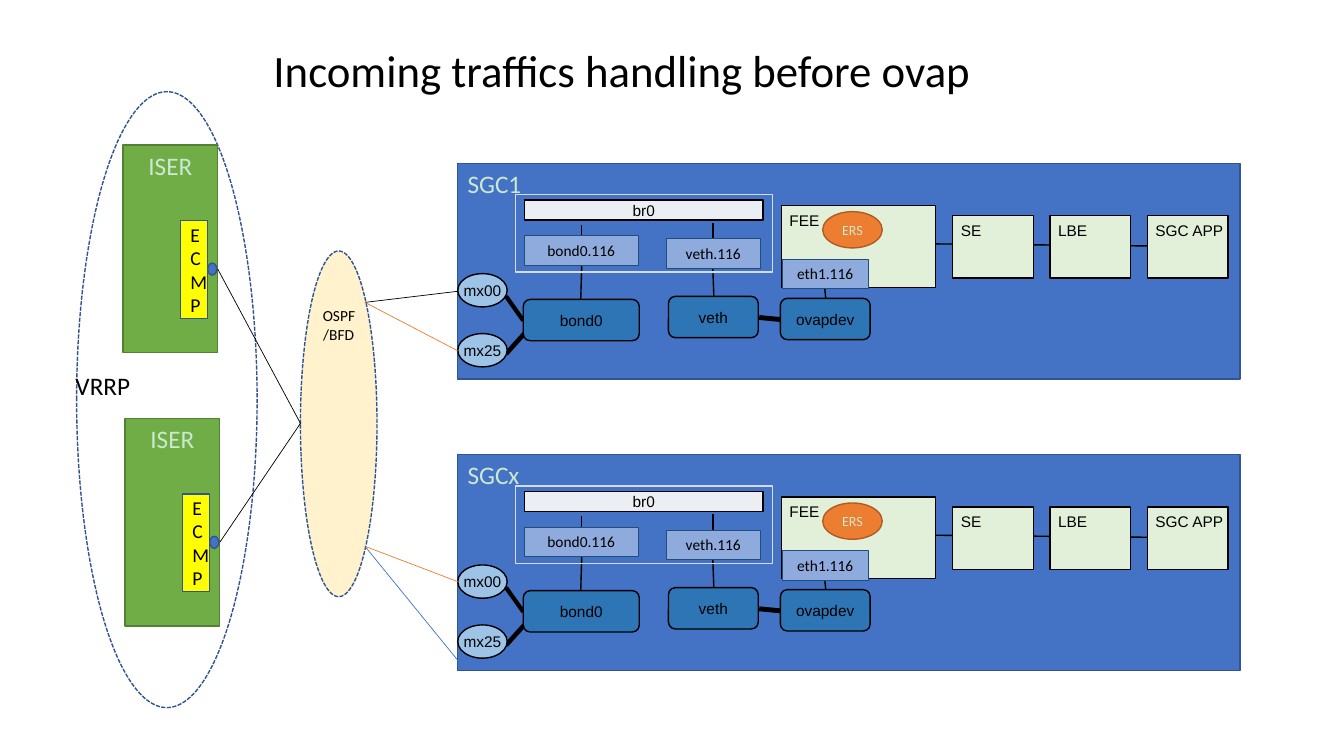
from lxml.etree import SubElement
from pptx import Presentation
from pptx.dml.color import RGBColor as RGB
from pptx.enum.dml import MSO_LINE as DASH
from pptx.enum.shapes import MSO_CONNECTOR as CONN, MSO_SHAPE as SHAPE
from pptx.enum.text import MSO_ANCHOR as ANCHOR, MSO_AUTO_SIZE as FIT, PP_ALIGN as ALIGN
from pptx.oxml.ns import qn
from pptx.util import Inches, Pt

# Theme: colours, type and shape styles
THEME = dict(
    black="000000", white="FFFFFF", pale="CCE8CF", blue="4472C4", navy="325491", orange="ED7D31",
    sans="Calibri", label="Arial", title=32, head=18, ecmp=14, body=11, small=10)
T = THEME
RECT, OVAL, ROUND = SHAPE.RECTANGLE, SHAPE.OVAL, SHAPE.ROUNDED_RECTANGLE
BASE = dict(fill=None, line=T["black"], width=1, dash=None, size=T["body"], font=T["label"],
            color=T["black"], align=ALIGN.CENTER, anchor=ANCHOR.MIDDLE, inset=0.08, wrap=False)
TOP = dict(anchor=ANCHOR.TOP, inset=0.1, font=T["sans"])
HEAD = dict(TOP, size=T["head"], color=T["pale"])
STYLES = dict(
    ring=dict(line=T["navy"], dash=DASH.SQUARE_DOT),
    ospf=dict(TOP, fill="FFF2CC", line=T["navy"], dash=DASH.SQUARE_DOT, wrap=True),
    panel=dict(HEAD, fill=T["blue"], line=T["navy"], align=ALIGN.LEFT),
    iser=dict(HEAD, fill="70AD47", line="538035"),
    ecmp=dict(fill="FFFF00", line=T["navy"], size=T["ecmp"], font=T["sans"], inset=0.1, wrap=True),
    dot=dict(fill=T["blue"], line=T["navy"]),
    app=dict(fill="E2F0D9", align=ALIGN.LEFT, anchor=ANCHOR.TOP),
    bridge=dict(fill="EBEEF2"),
    port=dict(fill="9DC3E6"),
    device=dict(fill="2E75B6"),
    vlan=dict(TOP, fill="8FAADC", line="1F4E79", width=0.75),
    ers=dict(fill=T["orange"], line="AF5C24", size=T["small"], font=T["sans"], color=T["pale"]),
    frame=dict(line="D6DCE5"),
    note=dict(HEAD, line=None, color=T["black"], align=ALIGN.LEFT))

# Grid: 75 rows, with columns as wide as the rows are high
prs = Presentation()
prs.slide_width, prs.slide_height = Inches(13.33), Inches(7.5)
CELL = prs.slide_height / 75
s = prs.slides.add_slide(prs.slide_layouts[5])
s.background.fill.solid()
s.background.fill.fore_color.rgb = RGB.from_string(T["white"])


def box(kind, style, x, y, w, h, text=""):
    f = {**BASE, **STYLES[style]}
    sp = s.shapes.add_shape(kind, *(round(v * CELL) for v in (x, y, w, h)))
    sp.shadow.inherit = False
    for part, color in ((sp.fill, f["fill"]), (sp.line.fill, f["line"])):
        if color:
            part.solid()
            part.fore_color.rgb = RGB.from_string(color)
        else:
            part.background()
    if f["line"]:
        sp.line.width, sp.line.dash_style = Pt(f["width"]), f["dash"]
    if text:
        tf = sp.text_frame
        layout = dict(word_wrap=f["wrap"], vertical_anchor=f["anchor"],
                      margin_left=Inches(f["inset"]), margin_right=Inches(f["inset"]),
                      margin_top=Inches(0.05), margin_bottom=Inches(0.05))
        for name, value in layout.items():
            setattr(tf, name, value)
        p = tf.paragraphs[0]
        p.alignment = f["align"]
        r = p.add_run()
        r.text = text
        r.font.name, r.font.size = f["font"], Pt(f["size"])
        r.font.color.rgb = RGB.from_string(f["color"])


def wire(x1, y1, x2, y2, width=1, color="black"):
    c = s.shapes.add_connector(CONN.STRAIGHT, *(round(v * CELL) for v in (x1, y1, x2, y2)))
    c.line.width, c.line.color.rgb = Pt(width), RGB.from_string(T[color])
    SubElement(c._element.spPr, qn("a:effectLst"))


# Title
title = s.shapes.title
for name, value in dict(left=4.2, top=0, width=115, height=14.5).items():
    setattr(title, name, round(value * CELL))
tf = title.text_frame
tf.auto_size, tf.vertical_anchor = FIT.NONE, ANCHOR.MIDDLE
p = tf.paragraphs[0]
p.alignment, p.line_spacing = ALIGN.CENTER, 0.9
r = p.add_run()
r.text = "Incoming traffics handling before ovap"
r.font.name, r.font.size = T["sans"], Pt(T["title"])
r.font.color.rgb = RGB.from_string(T["black"])

# Router redundancy ring
box(OVAL, "ring", 7.6, 9.1, 17.9, 61.1)

# SGC panels: each part is placed from the panel's top left corner
PANEL_X, PANEL_TOP, PANEL_STEP = 45.4, 16.2, 28.9
NODES = [
    (RECT, "app", 32.1, 4.2, 15.3, 8.1, "FEE"),
    (RECT, "bridge", 6.6, 3.65, 23.7, 2, "br0"),
    (OVAL, "port", 0, 10.95, 4.9, 3.3, "mx00"),
    (OVAL, "port", 0, 16.9, 4.9, 3.3, "mx25"),
    (ROUND, "device", 6.5, 13.5, 11.5, 4.1, "bond0"),
    (RECT, "vlan", 6.6, 7.2, 11.3, 2.9, "bond0.116"),
    (ROUND, "device", 20.9, 13.2, 8.9, 4.1, "veth"),
    (RECT, "vlan", 20.7, 7.5, 9.3, 2.9, "veth.116"),
    (ROUND, "device", 32, 13.4, 8.9, 4.1, "ovapdev"),
    (RECT, "vlan", 32.2, 9.55, 8.5, 2.9, "eth1.116"),
    (OVAL, "ers", 36.2, 4.8, 5.9, 3.6, "ERS"),
    (RECT, "frame", 5.7, 3.1, 25.5, 7.7)]
WIRES = [
    (6.5, 15.6, 4.8, 13.2, 3), (4.8, 18.9, 6.6, 16.9, 3.25), (29.9, 15.3, 32, 15.5, 3.5),
    (12.3, 10.1, 12.2, 13.5), (25.3, 10.4, 25.4, 13.2), (36.4, 12.4, 36.5, 13.4),
    (12.3, 7.2, 12.3, 6.1), (25.3, 7.5, 25.3, 5.9)]
for i, name in enumerate(("SGC1", "SGCx")):
    top = PANEL_TOP + i * PANEL_STEP
    box(RECT, "panel", PANEL_X, top, 77.6, 21.4, name)
    wire(92.8, top + 8, 113.8, top + 8.2)
    for j, app in enumerate(("SE", "LBE", "SGC APP")):
        box(RECT, "app", 94.5 + j * 9.65, top + 5.2, 8, 6.2, app)
    for x1, y1, x2, y2, *width in WIRES:
        wire(PANEL_X + x1, top + y1, PANEL_X + x2, top + y2, *width)
    for kind, style, x, y, *rest in NODES:
        box(kind, style, PANEL_X + x, top + y, *rest)

# Routing protocol and its links to the panels
box(OVAL, "ospf", 29.8, 24.9, 7.6, 34.3, "OSPF/BFD")
for y1, y2, color in ((30, 28.9, "black"), (30, 34.8, "orange"),
                      (54.2, 57.7, "orange"), (54.2, 65.5, "blue")):
    wire(36.2, y1, PANEL_X, y2, 0.5, color)

# ISER routers
for x, y in ((12.2, 14.4), (12.4, 41.5)):
    box(RECT, "iser", x, y, 9.4, 20.6, "ISER")
    box(OVAL, "dot", x + 8.4, y + 11.7, 0.9, 1.2)
    box(RECT, "ecmp", x + 5.7, y + 7.5, 2.7, 9.7, "ECMP")
    wire(x + 9.4, y + 12.3, 29.8, 42, 0.5)
box(RECT, "note", 6.5, 36.2, 7.5, 4, "VRRP")

prs.save("out.pptx")
